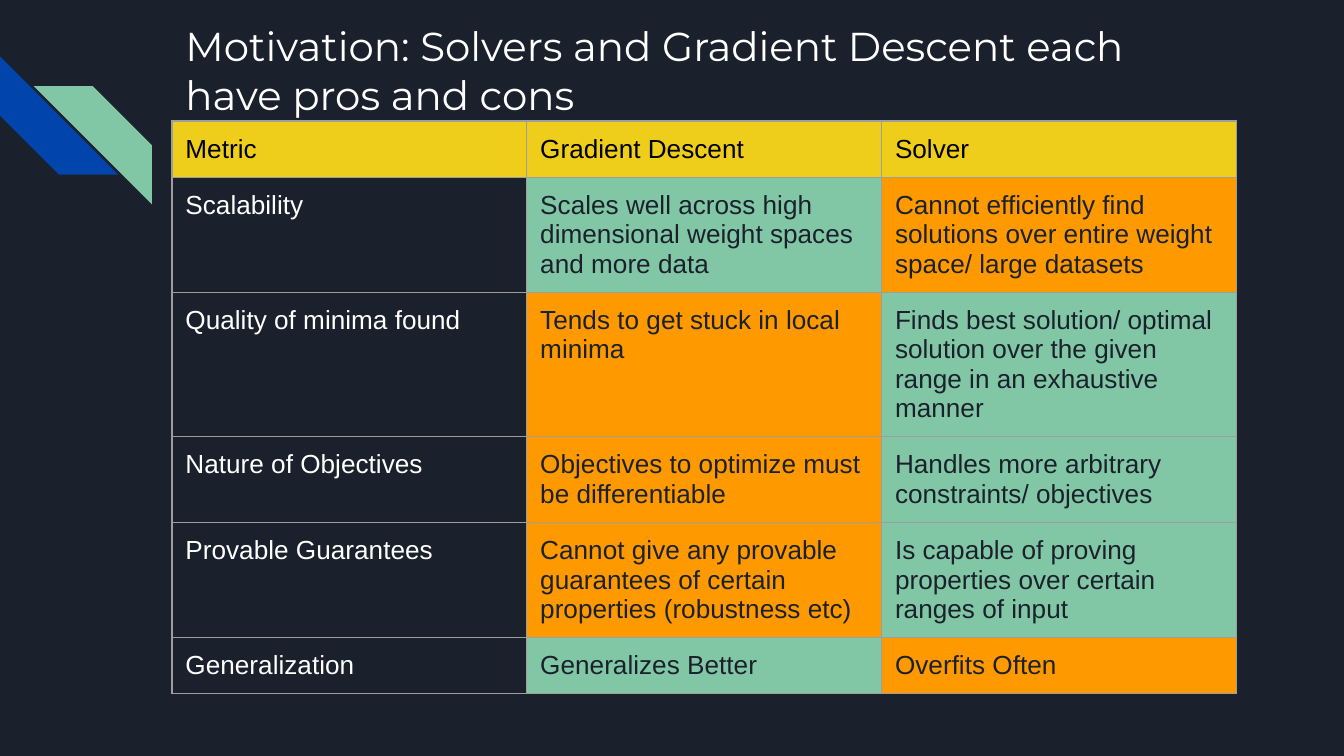
from lxml.etree import SubElement
from pptx import Presentation
from pptx.dml.color import RGBColor
from pptx.enum.shapes import MSO_SHAPE
from pptx.enum.text import MSO_ANCHOR, MSO_AUTO_SIZE, PP_ALIGN
from pptx.oxml.ns import qn
from pptx.util import Inches, Pt

# Content: "+" marks a strength, "-" a weakness
TITLE = "Motivation: Solvers and Gradient Descent each have pros and cons"
HEADER = ["Metric", "Gradient Descent", "Solver"]
ROWS = [
    ("Scalability",
     ("+", "Scales well across high dimensional weight spaces and more data"),
     ("-", "Cannot efficiently find solutions over entire weight space/ large datasets")),
    ("Quality of minima found",
     ("-", "Tends to get stuck in local minima"),
     ("+", "Finds best solution/ optimal solution over the given range in an exhaustive manner")),
    ("Nature of Objectives",
     ("-", "Objectives to optimize must be differentiable"),
     ("+", "Handles more arbitrary constraints/ objectives")),
    ("Provable Guarantees",
     ("-", "Cannot give any provable guarantees of certain properties (robustness etc)"),
     ("+", "Is capable of proving properties over certain ranges of input")),
    ("Generalization",
     ("+", "Generalizes Better"),
     ("-", "Overfits Often")),
]

THEME = {
    "bg": "1B212C", "white": "FFFFFF", "black": "000000", "blue": "0145AC",
    "header": "EECE1A", "+": "82C7A5", "-": "FF9900", "border": "9E9E9E",
    "title_font": "Montserrat", "body_font": "Arial",
    "title_size": 21.6, "body_size": 14, "border_width": 0.75,
}
LEFT, COL_W, ROW_H, MARGIN = 1.28, 2.64, 0.42, 0.1


def color(name):
    return RGBColor.from_string(THEME[name])


def set_font(p, kind, name):
    for r in p.runs:
        r.font.name = THEME[f"{kind}_font"]
        r.font.size = Pt(THEME[f"{kind}_size"])
        r.font.bold = False
        r.font.color.rgb = color(name)


def set_margins(box):
    box.margin_left = box.margin_right = Inches(MARGIN)
    box.margin_top = box.margin_bottom = Inches(MARGIN)


def add_stripe(s, left, top, rotation, name):
    sp = s.shapes.add_shape(MSO_SHAPE.DIAGONAL_STRIPE, Inches(left), Inches(top),
                            Inches(0.88), Inches(0.88))
    sp.rotation = rotation
    sp.shadow.inherit = False
    sp.fill.solid()
    sp.fill.fore_color.rgb = color(name)
    sp.line.fill.background()


def add_borders(cell):
    tc_pr = cell._tc.get_or_add_tcPr()
    for side in ("a:lnL", "a:lnR", "a:lnT", "a:lnB"):
        ln = SubElement(tc_pr, qn(side), w=str(Pt(THEME["border_width"])))
        fill = SubElement(ln, qn("a:solidFill"))
        SubElement(fill, qn("a:srgbClr"), val=THEME["border"])


def fill_cell(cell, text, font_color, fill=None):
    cell.text_frame.text = text
    set_font(cell.text_frame.paragraphs[0], "body", font_color)
    set_margins(cell)
    cell.vertical_anchor = MSO_ANCHOR.TOP
    add_borders(cell)
    if fill:
        cell.fill.solid()
        cell.fill.fore_color.rgb = color(fill)
    else:
        cell.fill.background()


# Widescreen 16:9 slide
prs = Presentation()
prs.slide_width = Inches(10)
prs.slide_height = prs.slide_width * 9 // 16
s = prs.slides.add_slide(prs.slide_layouts[5])
s.background.fill.solid()
s.background.fill.fore_color.rgb = color("bg")

# Corner stripes
add_stripe(s, 0, 0.42, 270, "blue")
add_stripe(s, 0.25, 0.64, 90, "+")

# Title
title = s.shapes.title
title.left, title.top = Inches(LEFT), Inches(0.06)
title.width, title.height = Inches(7.7), Inches(1)
tf = title.text_frame
tf.text = TITLE
tf.word_wrap = True
tf.auto_size = MSO_AUTO_SIZE.NONE
tf.vertical_anchor = MSO_ANCHOR.TOP
set_margins(tf)
tf.paragraphs[0].alignment = PP_ALIGN.LEFT
set_font(tf.paragraphs[0], "title", "white")

# Comparison table; rows grow to fit their text
n_rows, n_cols = len(ROWS) + 1, len(HEADER)
table = s.shapes.add_table(n_rows, n_cols, Inches(LEFT), Inches(0.9),
                           Inches(COL_W * n_cols), Inches(ROW_H * n_rows)).table
table.first_row = table.horz_banding = False
for column in table.columns:
    column.width = Inches(COL_W)
for row in table.rows:
    row.height = Inches(ROW_H)

for j, text in enumerate(HEADER):
    fill_cell(table.cell(0, j), text, "black", "header")
for i, (metric, *verdicts) in enumerate(ROWS, start=1):
    fill_cell(table.cell(i, 0), metric, "white")
    for j, (verdict, text) in enumerate(verdicts, start=1):
        fill_cell(table.cell(i, j), text, "bg", verdict)

prs.save("out.pptx")
